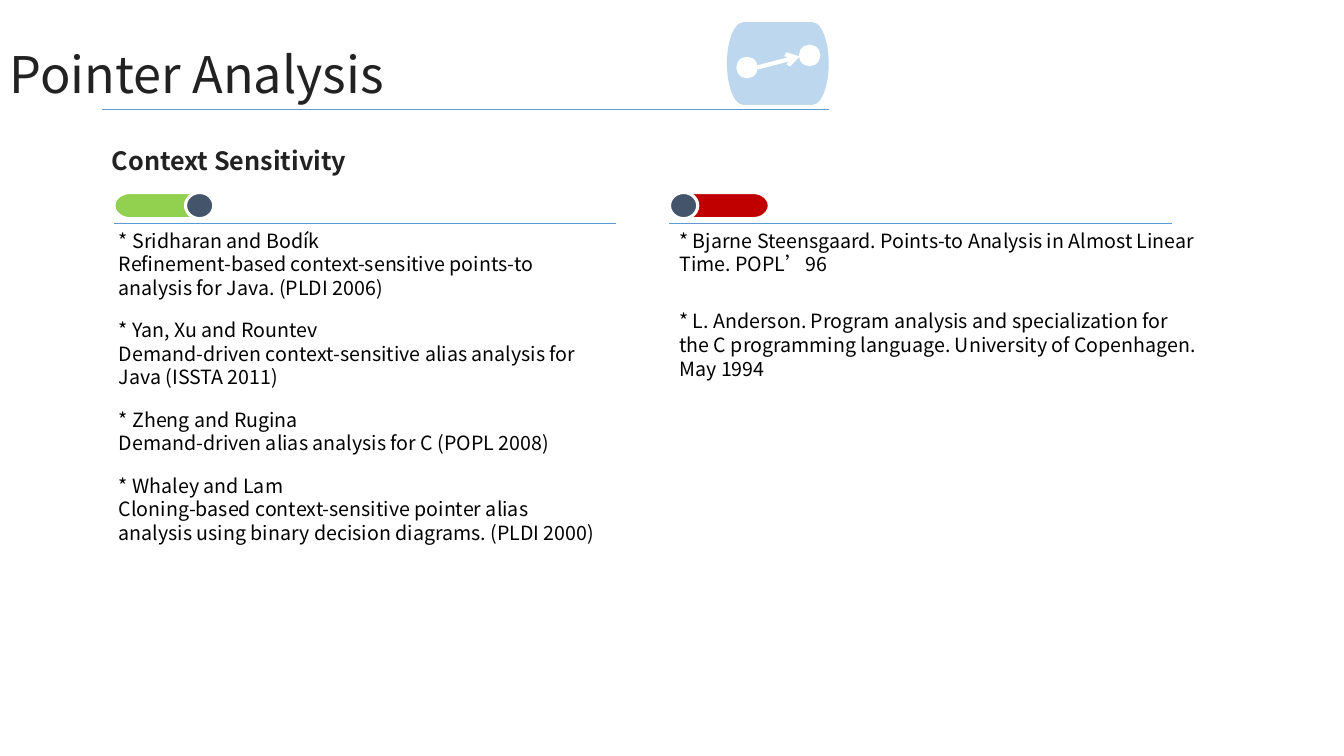
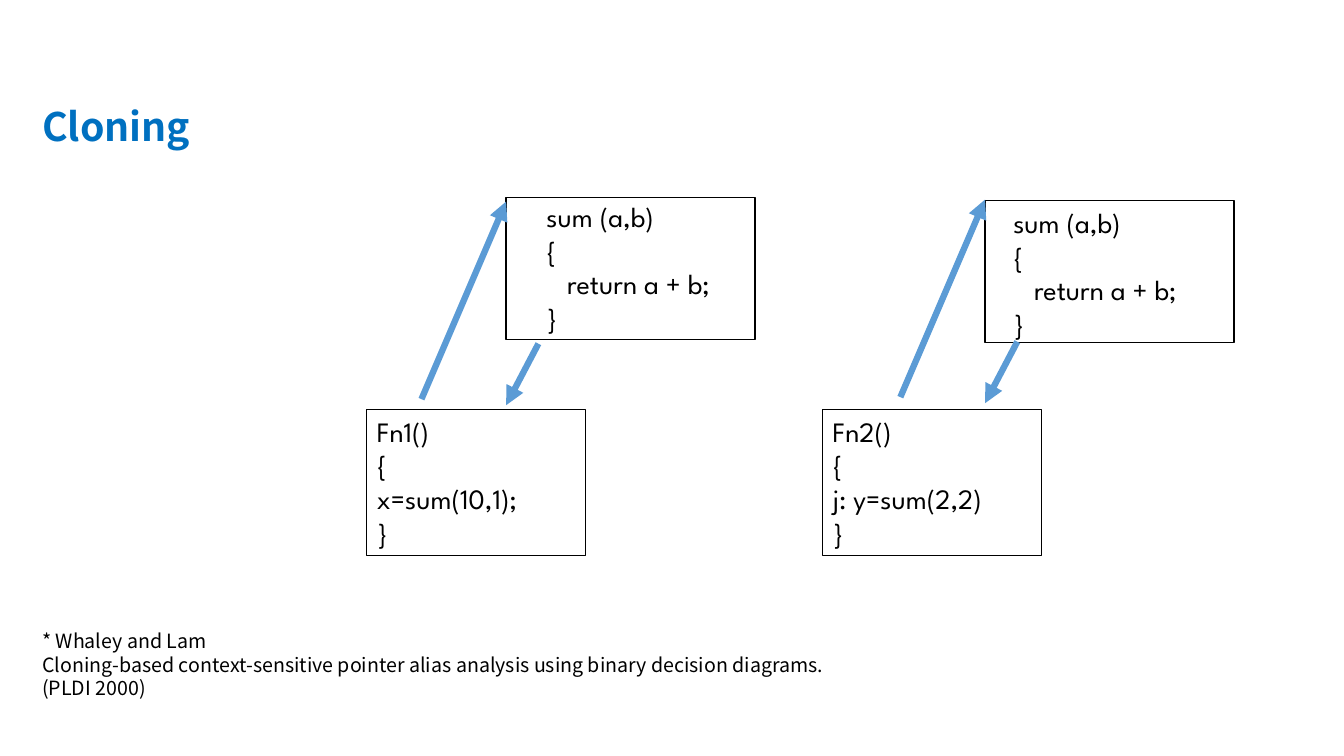
from pptx import Presentation
from pptx.dml.color import RGBColor
from pptx.enum.shapes import MSO_CONNECTOR, MSO_SHAPE
from pptx.enum.text import MSO_ANCHOR, PP_ALIGN
from pptx.oxml.ns import qn
from pptx.util import Inches, Pt
from lxml import etree

STRAIGHT = MSO_CONNECTOR.STRAIGHT
RECT, OVAL = MSO_SHAPE.RECTANGLE, MSO_SHAPE.OVAL
PILL = MSO_SHAPE.FLOWCHART_TERMINATOR
TOP, LEFT = MSO_ANCHOR.TOP, PP_ALIGN.LEFT

BLACK = RGBColor(0x00, 0x00, 0x00)
WHITE = RGBColor(0xFF, 0xFF, 0xFF)
INK = RGBColor(0x22, 0x22, 0x22)
BLUE = RGBColor(0x5B, 0x9B, 0xD5)
PALE_BLUE = RGBColor(0xBD, 0xD7, 0xEE)
HEADING_BLUE = RGBColor(0x00, 0x70, 0xC0)
SLATE = RGBColor(0x44, 0x54, 0x6A)
GREEN = RGBColor(0x92, 0xD0, 0x50)
RED = RGBColor(0xC0, 0x00, 0x00)

SANS, CODE = "Noto Sans CJK TC", "League Spartan"
LINE_PITCH = 1.2  # line height as a multiple of the text size

TITLE = {"name": SANS, "size": Pt(36), "color": INK}
SUBTITLE = {"name": SANS, "size": Pt(18), "color": INK, "bold": True}
HEADING = {"name": SANS, "size": Pt(28), "color": HEADING_BLUE, "bold": True}
REFERENCE = {"name": SANS, "size": Pt(14), "color": BLACK}
SOURCE_CODE = {"name": CODE, "size": Pt(20), "color": BLACK}

COLUMNS = (1.13, 6.64)
RULE_WIDTH = 4.98
SWITCH_TOP, REFERENCES_TOP = 1.91, 2.22
SWITCH_WIDTH, KNOB_WIDTH, SWITCH_HEIGHT = 0.99, 0.28, 0.26

CLONING_PAPER = (
    "* Whaley and Lam",
    "Cloning-based context-sensitive pointer alias analysis using binary "
    "decision diagrams. (PLDI 2000)",
)
SENSITIVE_PAPERS = (
    ("* Sridharan and Bodík",
     "Refinement-based context-sensitive points-to analysis for Java. (PLDI 2006)"),
    ("* Yan, Xu and Rountev",
     "Demand-driven context-sensitive alias analysis for Java (ISSTA 2011)"),
    ("* Zheng and Rugina",
     "Demand-driven alias analysis for C (POPL 2008)"),
    CLONING_PAPER,
)
INSENSITIVE_PAPERS = (
    ("* Bjarne Steensgaard. Points-to Analysis in Almost Linear Time. POPL’96",),
    ("* L. Anderson. Program analysis and specialization for the C programming "
     "language. University of Copenhagen. May 1994",),
)
SUM_CODE = ("sum (a,b)", "{", "   return a + b;", "}")


def write(tf, groups, style, gap=0, margins=(0.1, 0.05)):
    """Fill a frame with groups of paragraphs, gap points between groups."""
    tf.word_wrap = True
    tf.vertical_anchor = TOP
    tf.margin_left, tf.margin_top = (Inches(m) for m in margins)
    p = None
    for g, group in enumerate(groups):
        for i, line in enumerate(group):
            p = tf.paragraphs[0] if p is None else tf.add_paragraph()
            p.alignment = LEFT
            p.line_spacing = Pt(style["size"].pt * LINE_PITCH)
            if g and not i:
                p.space_before = Pt(gap)
            r = p.add_run()
            r.text = line
            for key, value in style.items():
                if key == "color":
                    r.font.color.rgb = value
                else:
                    setattr(r.font, key, value)
            etree.SubElement(r.font._element, qn("a:ea"), typeface=style["name"])


def add_text(slide, at, groups, style, gap=0):
    sp = slide.shapes.add_textbox(*map(Inches, at))
    write(sp.text_frame, groups, style, gap)


def add_shape(slide, kind, at, fill=None, line=None, width=1):
    sp = slide.shapes.add_shape(kind, *map(Inches, at))
    sp.shadow.inherit = False
    if fill is None:
        sp.fill.background()
    else:
        sp.fill.solid()
        sp.fill.fore_color.rgb = fill
    if line is None:
        sp.line.fill.background()
    else:
        sp.line.color.rgb = line
        sp.line.width = Pt(width)
    return sp


def add_line(slide, start, end, color=BLUE, width=0.5, arrow=None):
    cx = slide.shapes.add_connector(STRAIGHT, *map(Inches, (*start, *end)))
    cx.line.color.rgb = color
    cx.line.width = Pt(width)
    if arrow:
        etree.SubElement(cx.line._get_or_add_ln(), qn("a:tailEnd"), type=arrow)
    etree.SubElement(cx._element.spPr, qn("a:effectLst"))


def add_pointer_icon(slide):
    add_shape(slide, PILL, (7.21, 0.22, 1.01, 0.82), PALE_BLUE)
    add_line(slide, (7.51, 0.67), (7.93, 0.56), WHITE, 3, "arrow")
    for left, top in ((7.31, 0.57), (7.93, 0.45)):
        add_shape(slide, OVAL, (left, top, 0.2, 0.2), WHITE, WHITE)


def add_switch(slide, left, color, on):
    """Draw a toggle with its knob at the right when on."""
    knob_left = left + (SWITCH_WIDTH - KNOB_WIDTH if on else 0)
    for kind, x, width, fill in ((PILL, left, SWITCH_WIDTH, color),
                                 (OVAL, knob_left, KNOB_WIDTH, SLATE)):
        add_shape(slide, kind, (x, SWITCH_TOP, width, SWITCH_HEIGHT),
                  fill, WHITE, 2.25)


def add_code_box(slide, at, code, width, margins=(0.1, 0.05)):
    sp = add_shape(slide, RECT, at, line=BLACK, width=width)
    write(sp.text_frame, [code], SOURCE_CODE, margins=margins)


def add_call(slide, caller_left, caller, clone_at, margins, arrow_top):
    """Draw a caller, its own clone of sum, and the call and return arrows."""
    left, top = clone_at
    add_code_box(slide, (caller_left, 4.06, 2.17, 1.45), caller, 0.75)
    add_code_box(slide, (left, top, 2.47, 1.41), SUM_CODE, 1, margins)
    for start, end in (((-0.84, 1.96), (0, 0)), ((0.32, 1.41), (0, 2.02))):
        add_line(slide, *((left + x, arrow_top + y) for x, y in (start, end)),
                 width=4.5, arrow="triangle")


def build_pointer_analysis(slide):
    add_text(slide, (0, 0.38, 6.64, 0.71), [["Pointer Analysis"]], TITLE)
    add_line(slide, (1.01, 1.09), (8.22, 1.09))
    add_pointer_icon(slide)
    add_text(slide, (1.01, 1.39, 4.88, 0.4), [["Context Sensitivity"]], SUBTITLE)
    columns = ((GREEN, True, SENSITIVE_PAPERS, 1.08, 4.95, 13.5),
               (RED, False, INSENSITIVE_PAPERS, 6.64, 5.35, 24))
    for left, column in zip(COLUMNS, columns):
        color, on, papers, text_left, text_width, gap = column
        add_switch(slide, left, color, on)
        add_line(slide, (left, REFERENCES_TOP), (left + RULE_WIDTH, REFERENCES_TOP))
        add_text(slide, (text_left, REFERENCES_TOP, text_width, 3.23),
                 papers, REFERENCE, gap)


def build_cloning(slide):
    add_text(slide, (0.32, 0.97, 6.91, 0.57), [["Cloning"]], HEADING)
    add_call(slide, 3.64, ("Fn1()", "{", "x=sum(10,1);", "}"),
             (5.02, 1.96), (0.4, 0.02), 2)
    add_call(slide, 8.16, ("Fn2()", "{", "j: y=sum(2,2)", "}"),
             (9.77, 1.99), (0.28, 0.05), 1.98)
    add_text(slide, (0.32, 6.19, 8.01, 0.81), [CLONING_PAPER], REFERENCE)


def main():
    prs = Presentation()
    prs.slide_width, prs.slide_height = Inches(13.33), Inches(7.5)
    for build in (build_pointer_analysis, build_cloning):
        build(prs.slides.add_slide(prs.slide_layouts[6]))
    prs.save("out.pptx")


if __name__ == "__main__":
    main()
